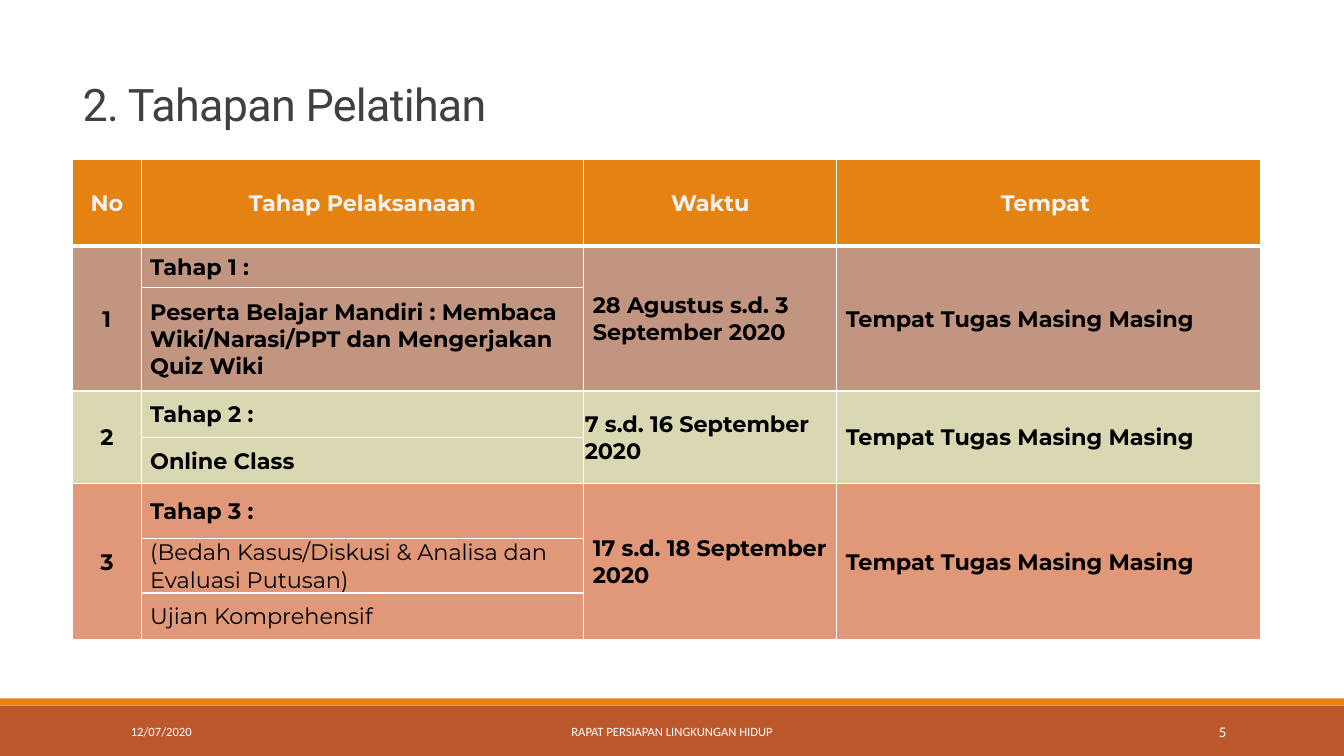
from lxml.etree import SubElement
from pptx import Presentation
from pptx.dml.color import RGBColor
from pptx.enum.shapes import MSO_SHAPE
from pptx.enum.text import MSO_ANCHOR, MSO_AUTO_SIZE, PP_ALIGN
from pptx.oxml.ns import qn
from pptx.util import Inches, Pt

ORANGE, RUST, WHITE, BLACK = "E48312", "BD582C", "FFFFFF", "000000"


def write(frame, text, font="Calibri", size=9, color=WHITE, bold=False,
          align=PP_ALIGN.LEFT, anchor=MSO_ANCHOR.MIDDLE):
    frame.word_wrap = True
    frame.vertical_anchor = anchor
    paragraph = frame.paragraphs[0]
    paragraph.alignment = align
    run = paragraph.add_run()
    run.text = text
    run.font.name = font
    run.font.size = Pt(size)
    run.font.bold = bold
    run.font.color.rgb = RGBColor.from_string(color)
    return run


def add_borders(cell, bottom_width):
    """Give a cell white borders, with its own width at the bottom."""
    properties = cell._tc.get_or_add_tcPr()
    widths = {"a:lnL": 1, "a:lnR": 1, "a:lnT": 1, "a:lnB": bottom_width}
    for index, (tag, width) in enumerate(widths.items()):
        border = SubElement(properties, qn(tag), w=str(Pt(width)))
        fill = SubElement(border, qn("a:solidFill"))
        SubElement(fill, qn("a:srgbClr"), val=WHITE)
        properties.insert(index, border)


presentation = Presentation()
presentation.slide_width = Inches(13.33)
presentation.slide_height = Inches(7.5)
slide = presentation.slides.add_slide(presentation.slide_layouts[5])

# Footer bands
for top, height, color in [(7, 0.5, RUST), (6.93, 0.07, ORANGE)]:
    band = slide.shapes.add_shape(MSO_SHAPE.RECTANGLE, 0, Inches(top),
                                  presentation.slide_width, Inches(height))
    band.shadow.inherit = False
    band.fill.solid()
    band.fill.fore_color.rgb = RGBColor.from_string(color)
    band.line.fill.background()

# Title
title = slide.shapes.title
title.left, title.top = Inches(0.72), Inches(0.68)
title.width, title.height = Inches(10.25), Inches(0.67)
title.text_frame.auto_size = MSO_AUTO_SIZE.NONE
title_run = write(title.text_frame, "2. Tahapan Pelatihan", font="Roboto", size=32,
                  color="404040", anchor=MSO_ANCHOR.BOTTOM)
title_run.font._element.set("spc", "-50")
title.text_frame.paragraphs[0].line_spacing = 0.85

# Footer texts
footers = [
    (1.2, 2.7, "12/07/2020", 9, PP_ALIGN.LEFT),
    (4.03, 5.27, "RAPAT PERSIAPAN LINGKUNGAN HIDUP", 9, PP_ALIGN.CENTER),
    (10.83, 1.43, "5", 10.5, PP_ALIGN.RIGHT),
]
for left, width, text, size, align in footers:
    footer = slide.shapes.add_textbox(Inches(left), Inches(7.06), Inches(width), Inches(0.4))
    write(footer.text_frame, text, size=size, align=align)

# Training stages
headers = ["No", "Tahap Pelaksanaan", "Waktu", "Tempat "]
place = "Tempat Tugas Masing Masing"
stages = [
    ("C29580", "28 Agustus s.d. 3 September 2020",
     ["Tahap 1 :",
      "Peserta Belajar Mandiri : Membaca Wiki/Narasi/PPT dan Mengerjakan Quiz Wiki"]),
    ("DAD7B3", "7 s.d. 16 September 2020", ["Tahap 2 :", "Online Class"]),
    ("E09878", "17 s.d. 18 September 2020",
     ["Tahap 3 :", "(Bedah Kasus/Diskusi & Analisa dan Evaluasi Putusan)",
      "Ujian Komprehensif"]),
]
column_widths = [0.68, 4.39, 2.51, 4.2]
row_heights = [0.86, 0.41, 1.03, 0.46, 0.46, 0.54, 0.49, 0.46]
table = slide.shapes.add_table(
    len(row_heights), len(column_widths), Inches(0.72), Inches(1.58),
    Inches(sum(column_widths)), Inches(sum(row_heights))).table
for column, width in zip(table.columns, column_widths):
    column.width = Inches(width)
for row, height in zip(table.rows, row_heights):
    row.height = Inches(height)

row_fills = [ORANGE] + [fill for fill, _, steps in stages for _ in steps]
for row_index, fill in enumerate(row_fills):
    for cell in table.rows[row_index].cells:
        cell.fill.solid()
        cell.fill.fore_color.rgb = RGBColor.from_string(fill)
        cell.margin_left = cell.margin_right = cell.margin_top = Inches(0.01)
        cell.margin_bottom = 0
        add_borders(cell, bottom_width=3 if row_index == 0 else 1)

# Each entry: row, column, text, bold, left inset
entries = [(0, column, text, True, 0.01) for column, text in enumerate(headers)]
first_row = 1
for number, (_, time, steps) in enumerate(stages, start=1):
    last_row = first_row + len(steps) - 1
    for column in (0, 2, 3):
        table.cell(first_row, column).merge(table.cell(last_row, column))
    time_inset = 0.01 if number == 2 else 0.09
    entries += [(first_row, 0, str(number), True, 0.01),
                (first_row, 2, time, True, time_inset),
                (first_row, 3, place, True, 0.09)]
    for offset, step in enumerate(steps):
        is_bold = number < 3 or offset == 0
        entries.append((first_row + offset, 1, step, is_bold, 0.09))
    first_row = last_row + 1

for row_index, column, text, bold, inset in entries:
    cell = table.cell(row_index, column)
    centred = row_index == 0 or column == 0
    write(cell.text_frame, text, font="Montserrat", size=16, bold=bold,
          color="F2F2F2" if row_index == 0 else BLACK,
          align=PP_ALIGN.CENTER if centred else PP_ALIGN.LEFT)
    cell.vertical_anchor = MSO_ANCHOR.MIDDLE
    cell.margin_left = Inches(inset)

presentation.save("out.pptx")
